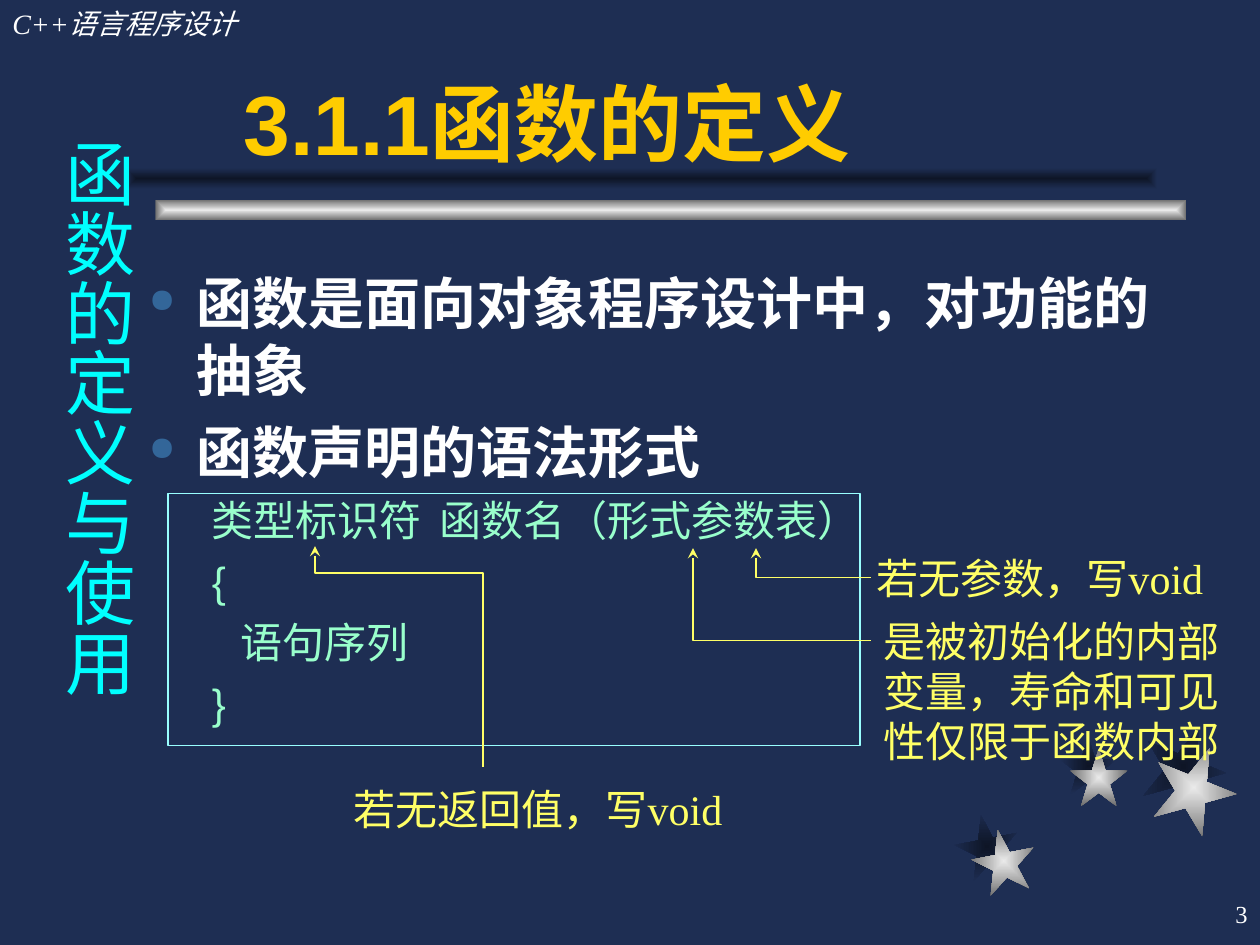
from lxml.etree import SubElement
from pptx import Presentation
from pptx.dml.color import RGBColor
from pptx.enum.shapes import MSO_SHAPE
from pptx.enum.text import MSO_ANCHOR, MSO_AUTO_SIZE, PP_ALIGN
from pptx.oxml.ns import qn
from pptx.util import Inches, Pt

COLORS = {k: RGBColor.from_string(v) for k, v in {
    "bg": "1E2E53", "shade": "0E1526", "light": "EAEAEA", "grey": "6C6C6C",
    "white": "FFFFFF", "gold": "FFCC00", "cyan": "00FFFF", "bullet": "336699",
    "mint": "99FFCC", "frame": "99FFFF", "yellow": "FFFF66"}.items()}
SERIF, SANS = "Times New Roman", "Arial"
UNIT = Inches(1) / 12  # the slide is a grid of 120 columns by 90 rows


def add_run(p, text, size, color, font=SERIF, bold=False, italic=False):
    r = p.add_run()
    r.text = text
    r.font.size, r.font.name = Pt(size), font
    r.font.bold, r.font.italic = bold, italic
    r.font.color.rgb = COLORS[color]
    SubElement(r.font._element, qn("a:ea")).set("typeface", SANS)
    return r


def add_metal(kind, x, y, w, h, inner, outer, angle=0):
    sp = s.shapes.add_shape(kind, *[int(v * UNIT) for v in (x, y, w, h)])
    sp.rotation = angle
    sp.shadow.inherit = False
    sp.line.fill.background()
    sp.fill.gradient()
    for stop, color in zip(sp.fill.gradient_stops, (inner, outer)):
        stop.color.rgb = COLORS[color]
    # Turn the linear gradient into one that spreads from the centre
    grad = sp._element.spPr.find(qn("a:gradFill"))
    grad.remove(grad.find(qn("a:lin")))
    spread = SubElement(grad, qn("a:path"))
    spread.set("path", "rect")
    centre = SubElement(spread, qn("a:fillToRect"))
    for side in "ltrb":
        centre.set(side, "50000")


prs = Presentation()
prs.slide_width, prs.slide_height = Inches(10), Inches(7.5)
s = prs.slides.add_slide(prs.slide_layouts[5])
s.background.fill.solid()
s.background.fill.fore_color.rgb = COLORS["bg"]

# Stars: shadows first, then the lit ones
for inner, outer, stars in (
        ("shade", "bg", ((91, 77.6, 6, -11), (100.9, 70.2, 5.5, 0), (108.7, 69, 8, 22))),
        ("light", "grey", ((92.6, 79, 6, -11), (101.9, 71.3, 5.5, 0), (109.7, 71, 8, 22)))):
    for x, y, size, angle in stars:
        add_metal(MSO_SHAPE.STAR_5_POINT, x, y, size, size, inner, outer, angle)

# Bar under the title and its shadow
add_metal(MSO_SHAPE.RECTANGLE, 14.8, 19, 98.2, 2, "light", "grey")
add_metal(MSO_SHAPE.RECTANGLE, 12, 16, 98.2, 2, "shade", "bg")

# Title
title = s.shapes.title
title.left, title.top, title.width, title.height = [int(v * UNIT) for v in (22, 3, 89, 14)]
tf = title.text_frame
tf.auto_size = MSO_AUTO_SIZE.NONE
tf.vertical_anchor = MSO_ANCHOR.BOTTOM
p = tf.paragraphs[0]
p.alignment = PP_ALIGN.LEFT
add_run(p, "3.1.1函数的定义", 48, "gold", SANS, bold=True)

# Body: bulleted points, then the lines of the syntax form
tf = s.shapes.add_textbox(*[int(v * UNIT) for v in (13, 25, 101, 56)]).text_frame
tf.word_wrap = True
lines = (("函数是面向对象程序设计中，对功能的抽象", 0.38, True),
         ("函数声明的语法形式", 0.38, True),
         ("类型标识符 函数名（形式参数表）", 0.5, False),
         ("{", 0.5, False), ("语句序列", 0.73, False), ("}", 0.5, False))
for i, (text, margin, point) in enumerate(lines):
    p = tf.paragraphs[0] if i == 0 else tf.add_paragraph()
    p.space_before = Pt(8 if point else 6)
    pPr = p._p.get_or_add_pPr()
    pPr.set("marL", str(Inches(margin)))
    if point:
        pPr.set("indent", str(-Inches(margin)))
        color = SubElement(SubElement(pPr, qn("a:buClr")), qn("a:srgbClr"))
        color.set("val", str(COLORS["bullet"]))
        SubElement(pPr, qn("a:buSzPct")).set("val", "60000")
        SubElement(pPr, qn("a:buChar")).set("char", "●")
        add_run(p, text, 32, "white", SANS, bold=True)
        continue
    before, gap, after = text.partition(" ")
    add_run(p, before, 24, "mint", SANS)
    if gap:  # a wide space between the return type and the name
        add_run(p, gap, 24, "mint", SANS).font._element.set("spc", "360")
        add_run(p, after, 24, "mint", SANS)

# Frame around the syntax form
sp = s.shapes.add_shape(MSO_SHAPE.RECTANGLE, *[int(v * UNIT) for v in (16, 47, 65.9, 24)])
sp.shadow.inherit = False
sp.fill.background()
sp.line.color.rgb, sp.line.width = COLORS["frame"], Pt(1)

# Course name, page number, chapter name and notes
for box, text, size, color, before in (
        ((0, 0, 37, 4.4), "C++语言程序设计", 16, "white", 10),
        ((95, 84, 25, 6), "3", 14, "white", 0),
        ((3.6, 12, 10.3, 65), "函数的定义与使用", 40, "cyan", 25),
        ((82.3, 52, 36.5, 6), "若无参数，写void", 24, "yellow", 0),
        ((83, 58, 36, 15.6), "是被初始化的内部变量，寿命和可见性仅限于函数内部", 24, "yellow", 0),
        ((32.5, 74, 40.5, 6), "若无返回值，写void", 24, "yellow", 0)):
    tf = s.shapes.add_textbox(*[int(v * UNIT) for v in box]).text_frame
    tf.word_wrap = True
    p = tf.paragraphs[0]
    p.space_before = Pt(before)
    add_run(p, text, size, color, italic=size == 16)
    if size == 14:
        p.alignment = PP_ALIGN.RIGHT
        tf.vertical_anchor = MSO_ANCHOR.MIDDLE
    if size == 40:
        p.alignment = PP_ALIGN.CENTER
        tf._txBody.bodyPr.set("vert", "eaVert")
        tf.margin_left = tf.margin_right = Inches(0.05)
        tf.margin_top = tf.margin_bottom = Inches(0.1)

# Bent arrows from the notes up to the syntax form
for start, *bends in (((72, 52.2), (72, 55), (83, 55)),
                      ((66, 52.2), (66, 61), (83, 61)),
                      ((30, 52), (30, 54.6), (46, 54.6), (46, 73))):
    # Half rows are kept by drawing in tenths of a unit
    points = [(round(x * 10), round(y * 10)) for x, y in (start, *bends)]
    builder = s.shapes.build_freeform(*points[0], scale=UNIT / 10)
    builder.add_line_segments(points[1:], close=False)
    sp = builder.convert_to_shape()
    sp.shadow.inherit = False
    sp.fill.background()
    sp.line.color.rgb, sp.line.width = COLORS["yellow"], Pt(1)
    SubElement(sp.line._get_or_add_ln(), qn("a:headEnd")).set("type", "stealth")

prs.save("out.pptx")
